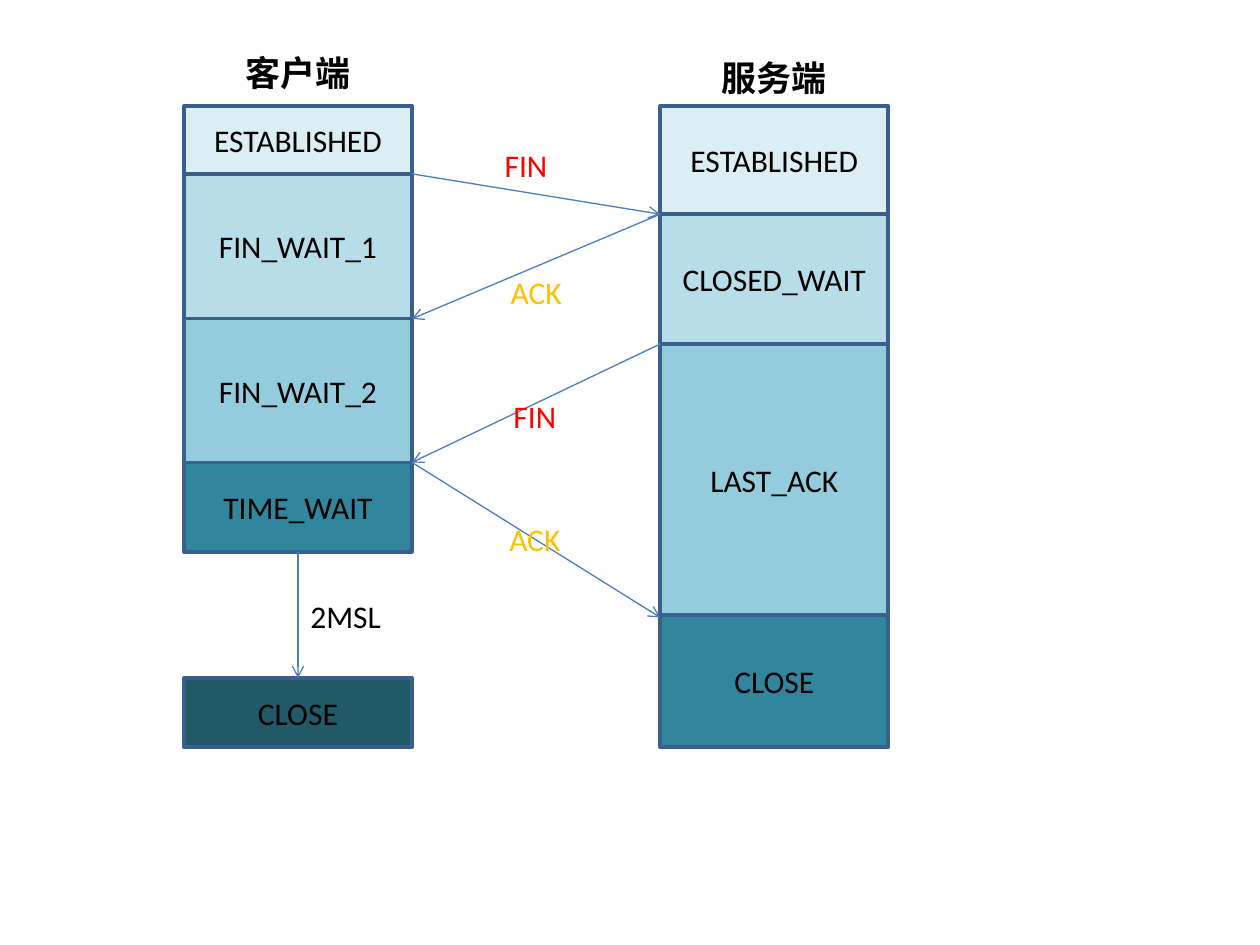
from dataclasses import dataclass

from pptx import Presentation
from pptx.dml.color import RGBColor
from pptx.enum.shapes import MSO_CONNECTOR, MSO_SHAPE
from pptx.enum.text import MSO_ANCHOR, MSO_AUTO_SIZE, PP_ALIGN
from pptx.oxml.ns import qn
from pptx.slide import Slide
from pptx.text.text import TextFrame
from pptx.util import Inches, Pt
from lxml.etree import SubElement

FONT = "Calibri"
BLACK, RED, AMBER = "000000", "FF0000", "FFC000"
BORDER, ARROW = "3A5F8C", "4B7EBC"
PALE, LIGHT, MEDIUM, DARK, DARKEST = "DBEEF4", "B7DEE8", "93CDDD", "31859C", "215968"

COLUMN_WIDTH = 1.81
CLIENT_LEFT, SERVER_LEFT = 1.46, 5.24
CLIENT_RIGHT = CLIENT_LEFT + COLUMN_WIDTH
CLIENT_CENTER = CLIENT_LEFT + COLUMN_WIDTH / 2


@dataclass
class State:
    name: str
    top: float
    bottom: float
    fill: str


@dataclass
class Label:
    text: str
    left: float
    top: float
    width: float = 0.87
    height: float = 0.4
    color: str = BLACK
    size: int = 18
    bold: bool = False
    alignment: PP_ALIGN = PP_ALIGN.CENTER


@dataclass
class Arrow:
    start: tuple[float, float]
    end: tuple[float, float]


CLIENT_STATES = [
    State("ESTABLISHED", 0.84, 1.38, PALE),
    State("FIN_WAIT_1", 1.38, 2.53, LIGHT),
    State("FIN_WAIT_2", 2.53, 3.67, MEDIUM),
    State("TIME_WAIT", 3.67, 4.38, DARK),
    State("CLOSE", 5.38, 5.93, DARKEST),
]
SERVER_STATES = [
    State("ESTABLISHED", 0.84, 1.7, PALE),
    State("CLOSED_WAIT", 1.7, 2.73, LIGHT),
    State("LAST_ACK", 2.73, 4.88, MEDIUM),
    State("CLOSE", 4.88, 5.93, DARK),
]
ARROWS = [
    Arrow((CLIENT_CENTER, 4.38), (CLIENT_CENTER, 5.38)),
    Arrow((CLIENT_RIGHT, 1.38), (SERVER_LEFT, 1.7)),
    Arrow((SERVER_LEFT, 1.7), (CLIENT_RIGHT, 2.53)),
    Arrow((SERVER_LEFT, 2.73), (CLIENT_RIGHT, 3.67)),
    Arrow((CLIENT_RIGHT, 3.67), (SERVER_LEFT, 4.9)),
]
LABELS = [
    Label("客户端", CLIENT_LEFT, 0.36, COLUMN_WIDTH, 0.44, size=20, bold=True),
    Label("服务端", SERVER_LEFT, 0.4, COLUMN_WIDTH, 0.44, size=20, bold=True),
    Label("FIN", 3.74, 1.11, color=RED),
    Label("ACK", 3.82, 2.12, color=AMBER),
    Label("FIN", 3.81, 3.1, color=RED),
    Label("ACK", 3.81, 4.08, color=AMBER),
    Label("2MSL", CLIENT_CENTER, 4.69, 1.1, alignment=PP_ALIGN.LEFT),
]


def rgb(color: str) -> RGBColor:
    return RGBColor.from_string(color)


def write_text(text_frame: TextFrame, text: str, color: str = BLACK, size: int = 18,
               bold: bool = False, alignment: PP_ALIGN = PP_ALIGN.CENTER) -> None:
    text_frame.text = text
    text_frame.word_wrap = True
    paragraph = text_frame.paragraphs[0]
    paragraph.alignment = alignment
    font = paragraph.runs[0].font
    font.name, font.size, font.bold = FONT, Pt(size), bold
    font.color.rgb = rgb(color)


def draw_state(slide: Slide, state: State, left: float) -> None:
    shape = slide.shapes.add_shape(
        MSO_SHAPE.RECTANGLE, Inches(left), Inches(state.top),
        Inches(COLUMN_WIDTH), Inches(state.bottom - state.top))
    shape.shadow.inherit = False
    shape.fill.solid()
    shape.fill.fore_color.rgb = rgb(state.fill)
    shape.line.color.rgb = rgb(BORDER)
    shape.line.width = Pt(2)
    shape.text_frame.vertical_anchor = MSO_ANCHOR.MIDDLE
    write_text(shape.text_frame, state.name)


def draw_arrow(slide: Slide, arrow: Arrow) -> None:
    points = [Inches(value) for value in (*arrow.start, *arrow.end)]
    connector = slide.shapes.add_connector(MSO_CONNECTOR.STRAIGHT, *points)
    connector.line.color.rgb = rgb(ARROW)
    connector.line.width = Pt(0.75)
    SubElement(connector.line._get_or_add_ln(), qn("a:tailEnd"), type="arrow")
    SubElement(connector._element.spPr, qn("a:effectLst"))


def draw_label(slide: Slide, label: Label) -> None:
    text_box = slide.shapes.add_textbox(
        Inches(label.left), Inches(label.top), Inches(label.width), Inches(label.height))
    write_text(text_box.text_frame, label.text, label.color, label.size,
               label.bold, label.alignment)
    text_box.text_frame.auto_size = MSO_AUTO_SIZE.SHAPE_TO_FIT_TEXT


def main() -> None:
    presentation = Presentation()
    presentation.slide_width, presentation.slide_height = Inches(10), Inches(7.5)
    blank_layout = presentation.slide_layouts[6]
    slide = presentation.slides.add_slide(blank_layout)
    for left, states in ((CLIENT_LEFT, CLIENT_STATES), (SERVER_LEFT, SERVER_STATES)):
        for state in states:
            draw_state(slide, state, left)
    for arrow in ARROWS:
        draw_arrow(slide, arrow)
    for label in LABELS:
        draw_label(slide, label)
    presentation.save("out.pptx")


if __name__ == "__main__":
    main()
